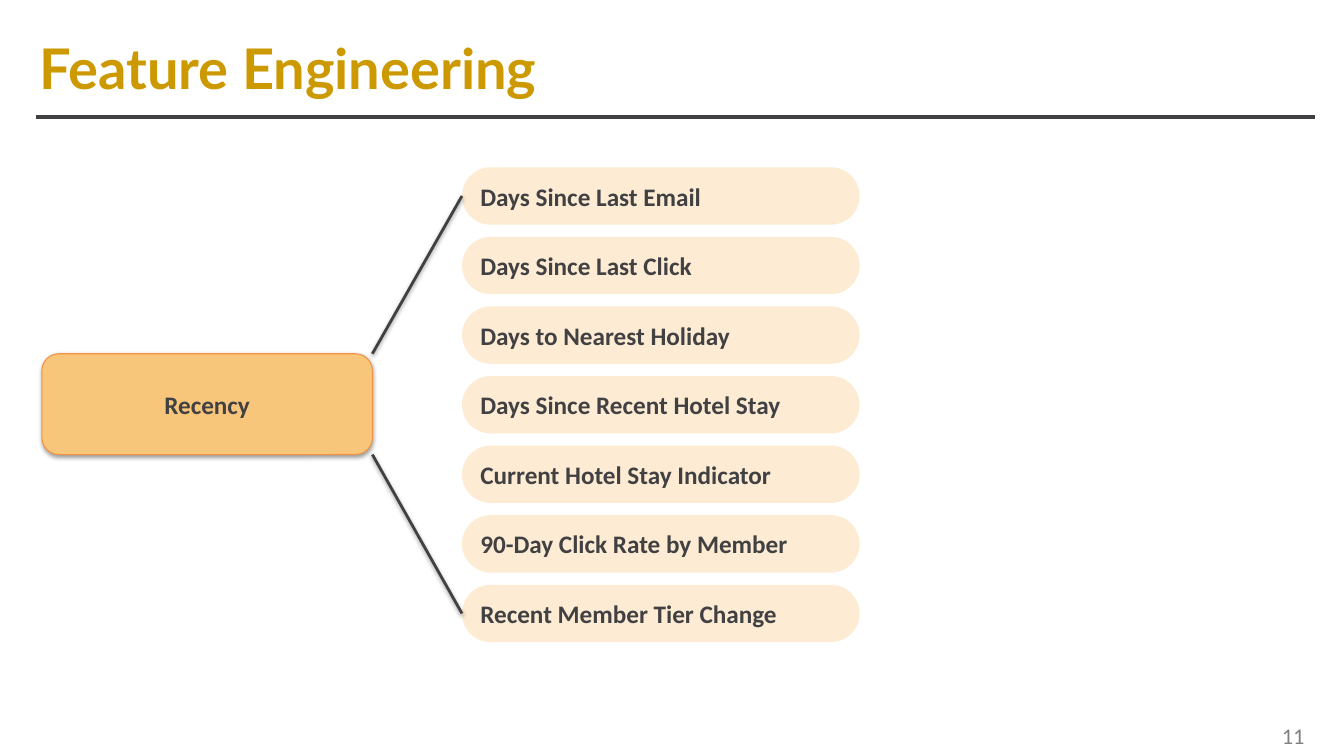
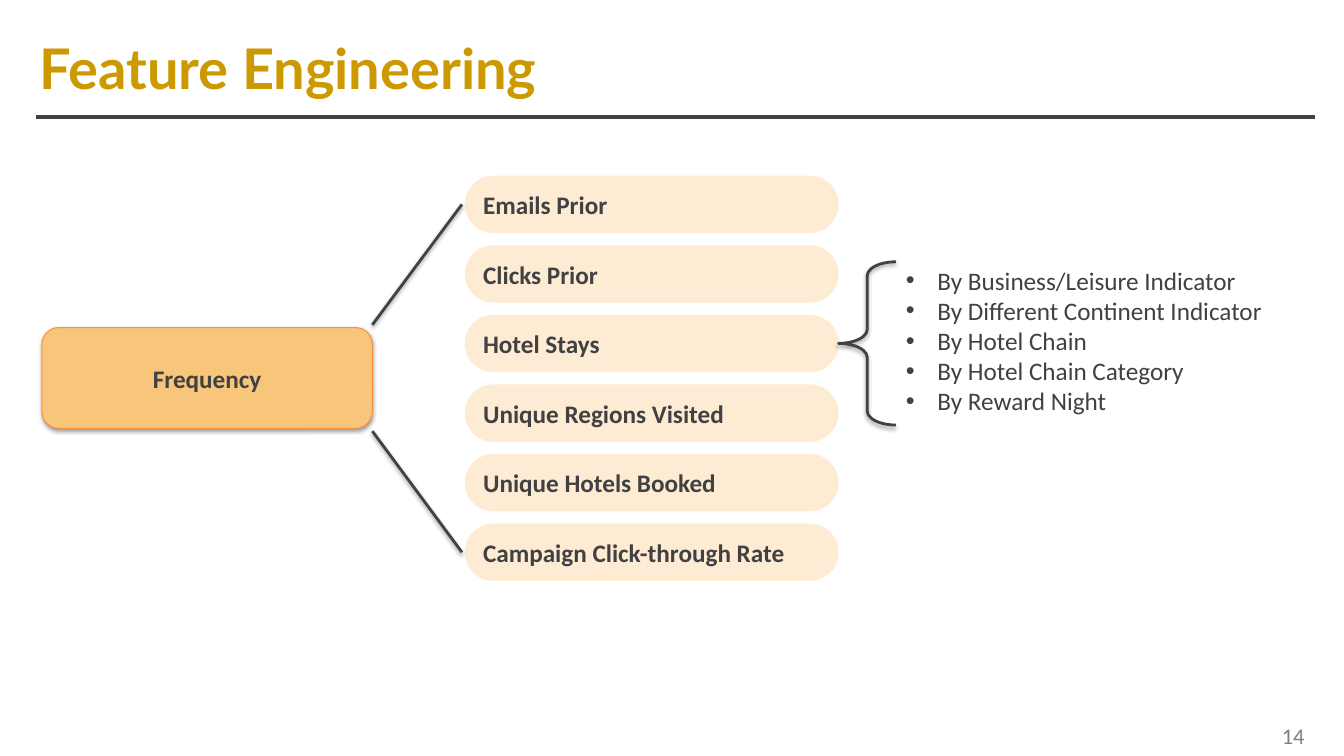
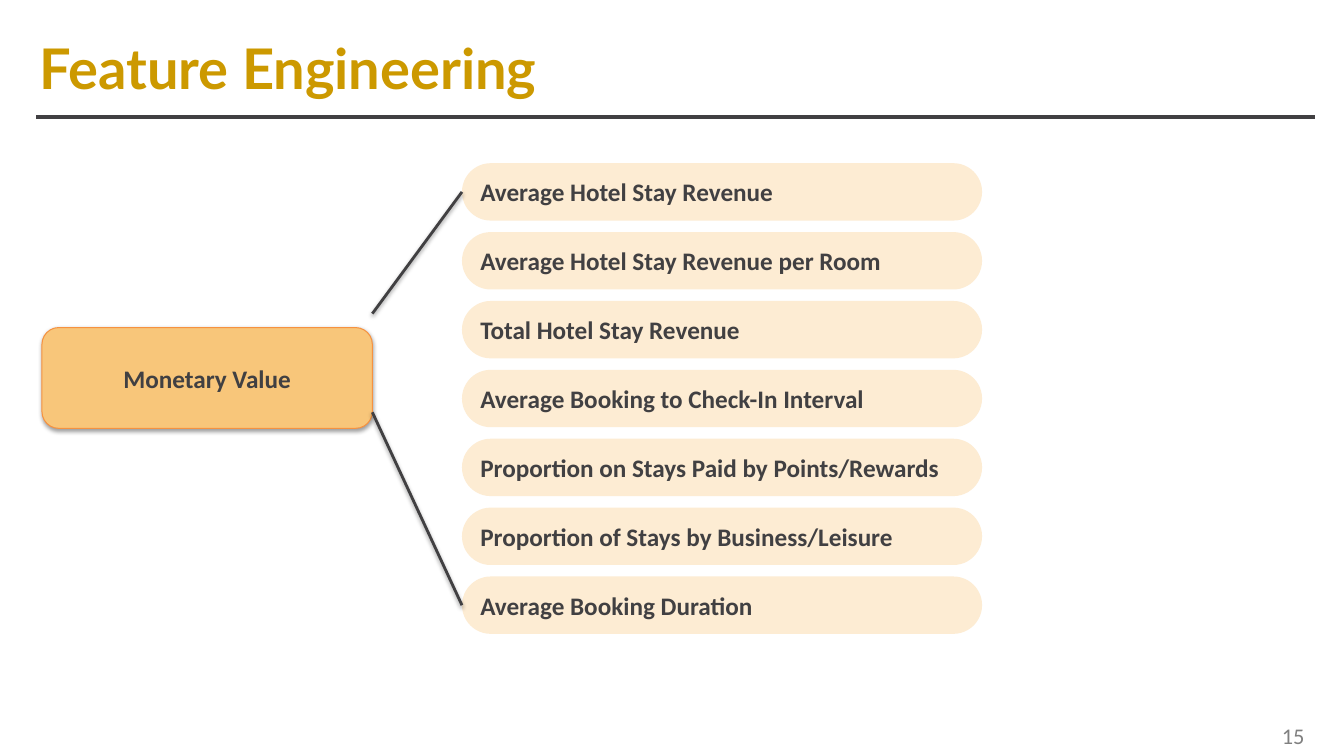
from pptx import Presentation
from pptx.dml.color import RGBColor
from pptx.enum.shapes import MSO_CONNECTOR, MSO_SHAPE
from pptx.enum.text import MSO_ANCHOR, PP_ALIGN
from pptx.oxml.ns import qn
from pptx.util import Pt
from lxml import etree

LINE = MSO_CONNECTOR.STRAIGHT
ROUND, BRACE = MSO_SHAPE.ROUNDED_RECTANGLE, MSO_SHAPE.LEFT_BRACE
MIDDLE, TOP = MSO_ANCHOR.MIDDLE, MSO_ANCHOR.TOP
LEFT, CENTER, RIGHT = PP_ALIGN.LEFT, PP_ALIGN.CENTER, PP_ALIGN.RIGHT


class Theme:
    # Colours
    gold, ink, gray = "CC9900", "414042", "808080"
    card, edge, pill = "F8C67A", "F69240", "FDECD3"
    # Fonts and sizes
    head, body = "Lato", "Calibri"
    big, mid, small = 40, 18, 16


class Deck:
    def __init__(self, theme):
        self.theme = theme
        self.file = Presentation()
        self.file.slide_width, self.file.slide_height = Pt(960), Pt(540)
        self.slide = None

    # Shared frame: title, rule and page number
    def page(self, title, num):
        t = self.theme
        self.slide = self.file.slides.add_slide(self.file.slide_layouts[6])
        self.line(26, 83.5, 939, 83.5, 3, False)
        self.label((28, 18.7, 805, 59), [title], t.big, t.gold, t.head, True, 0)
        self.label((688.3, 511.2, 250.6, 28.8), [num], t.small, t.gray,
                   align=RIGHT)

    # Text
    def fill_text(self, frame, lines, size, color, font, bold=False,
                  align=LEFT, bullet=False):
        frame.word_wrap = True
        for i, text in enumerate(lines):
            para = frame.paragraphs[0] if i == 0 else frame.add_paragraph()
            para.alignment = align
            if bullet:
                props = para._p.get_or_add_pPr()
                props.set("marL", str(Pt(22.5)))
                props.set("indent", str(Pt(-22.5)))
                etree.SubElement(props, qn("a:buFont")).set("typeface", "Arial")
                etree.SubElement(props, qn("a:buChar")).set("char", "•")
            run = para.add_run()
            run.text = text
            run.font.size, run.font.name = Pt(size), font
            run.font.bold = bold
            run.font.color.rgb = RGBColor.from_string(color)

    def label(self, box, lines, size, color, font=Theme.body, bold=False,
              inset=None, align=LEFT, anchor=MIDDLE, bullet=False):
        frame = self.slide.shapes.add_textbox(*map(Pt, box)).text_frame
        frame.vertical_anchor = anchor
        if inset is not None:
            frame.margin_left = frame.margin_right = Pt(inset)
            frame.margin_top = frame.margin_bottom = Pt(inset)
        self.fill_text(frame, lines, size, color, font, bold, align, bullet)

    # Shadow, or an empty effect list that blocks the default one
    def effect(self, item, soft):
        effects = etree.SubElement(item._element.spPr, qn("a:effectLst"))
        if soft:
            shade = etree.SubElement(
                effects, qn("a:outerShdw"), blurRad=str(Pt(3.15)),
                dist=str(Pt(1.57)), dir="5400000", rotWithShape="0")
            black = etree.SubElement(shade, qn("a:srgbClr"), val="000000")
            etree.SubElement(black, qn("a:alpha"), val="38000")

    # Shapes and lines
    def shape(self, kind, box, fill=None, edge=None, width=0.75, soft=False):
        item = self.slide.shapes.add_shape(kind, *map(Pt, box))
        if fill:
            item.fill.solid()
            item.fill.fore_color.rgb = RGBColor.from_string(fill)
        else:
            item.fill.background()
        if edge:
            item.line.color.rgb = RGBColor.from_string(edge)
            item.line.width = Pt(width)
        else:
            item.line.fill.background()
        self.effect(item, soft)
        return item

    def line(self, x1, y1, x2, y2, width=2, soft=True):
        item = self.slide.shapes.add_connector(LINE, *map(Pt, (x1, y1, x2, y2)))
        item.line.color.rgb = RGBColor.from_string(self.theme.ink)
        item.line.width = Pt(width)
        self.effect(item, soft)
        return item

    def card(self, text, top):
        t = self.theme
        item = self.shape(ROUND, (30, top, 236, 72), t.card, t.edge, soft=True)
        item.text_frame.vertical_anchor = MIDDLE
        self.fill_text(item.text_frame, [text], t.mid, t.ink, t.body, True,
                       CENTER)

    def pills(self, names, left, top, width, step, high=41):
        t, items = self.theme, []
        for i, name in enumerate(names):
            item = self.shape(ROUND, (left, top + i * step, width, high), t.pill)
            item.adjustments[0] = 0.5
            item.text_frame.vertical_anchor = MIDDLE
            self.fill_text(item.text_frame, [name], t.mid, t.ink, t.body, True)
            items.append(item)
        return items

    # Lines from the card to the first and last pill
    def fan(self, ends, pills, gap=0):
        for y, pill in zip(ends, (pills[0], pills[-1])):
            mid = (pill.top + pill.height / 2) / Pt(1)
            ray = self.line(266, y, pill.left / Pt(1) - gap, mid)
            if not gap:
                ray.end_connect(pill, 1)

    def detail(self, lines, left, top, high):
        t = self.theme
        brace = self.shape(BRACE, (left, top, 41, high), None, t.ink, 2, True)
        brace.adjustments[0] = 0.243
        self.label((left + 41, top - 1.4, 320, high), lines, t.mid, t.ink,
                   anchor=TOP, bullet=True)


def main():
    deck = Deck(Theme)
    title = "Feature Engineering"

    # Recency
    deck.page(title, "11")
    deck.card("Recency", 252.7)
    pills = deck.pills([
        "Days Since Last Email", "Days Since Last Click",
        "Days to Nearest Holiday", "Days Since Recent Hotel Stay",
        "Current Hotel Stay Indicator", "90-Day Click Rate by Member",
        "Recent Member Tier Change"], 330, 119.5, 284, 49.7)
    deck.fan((252.7, 324.7), pills)

    # Frequency
    deck.page(title, "14")
    deck.card("Frequency", 234)
    pills = deck.pills([
        "Emails Prior", "Clicks Prior", "Hotel Stays",
        "Unique Regions Visited", "Unique Hotels Booked",
        "Campaign Click-through Rate"], 332, 125.5, 267, 49.7)
    deck.fan((232, 308), pills, 2)
    deck.detail([
        "By Business/Leisure Indicator", "By Different Continent Indicator",
        "By Hotel Chain", "By Hotel Chain Category", "By Reward Night"],
        599, 187, 116.6)

    # Monetary value
    deck.page(title, "15")
    deck.card("Monetary Value", 234)
    pills = deck.pills([
        "Average Hotel Stay Revenue", "Average Hotel Stay Revenue per Room",
        "Total Hotel Stay Revenue", "Average Booking to Check-In Interval",
        "Proportion on Stays Paid by Points/Rewards",
        "Proportion of Stays by Business/Leisure",
        "Average Booking Duration"], 330, 116.6, 371.5, 49.2)
    deck.fan((224, 294.5), pills)

    deck.file.save("out.pptx")


if __name__ == "__main__":
    main()
